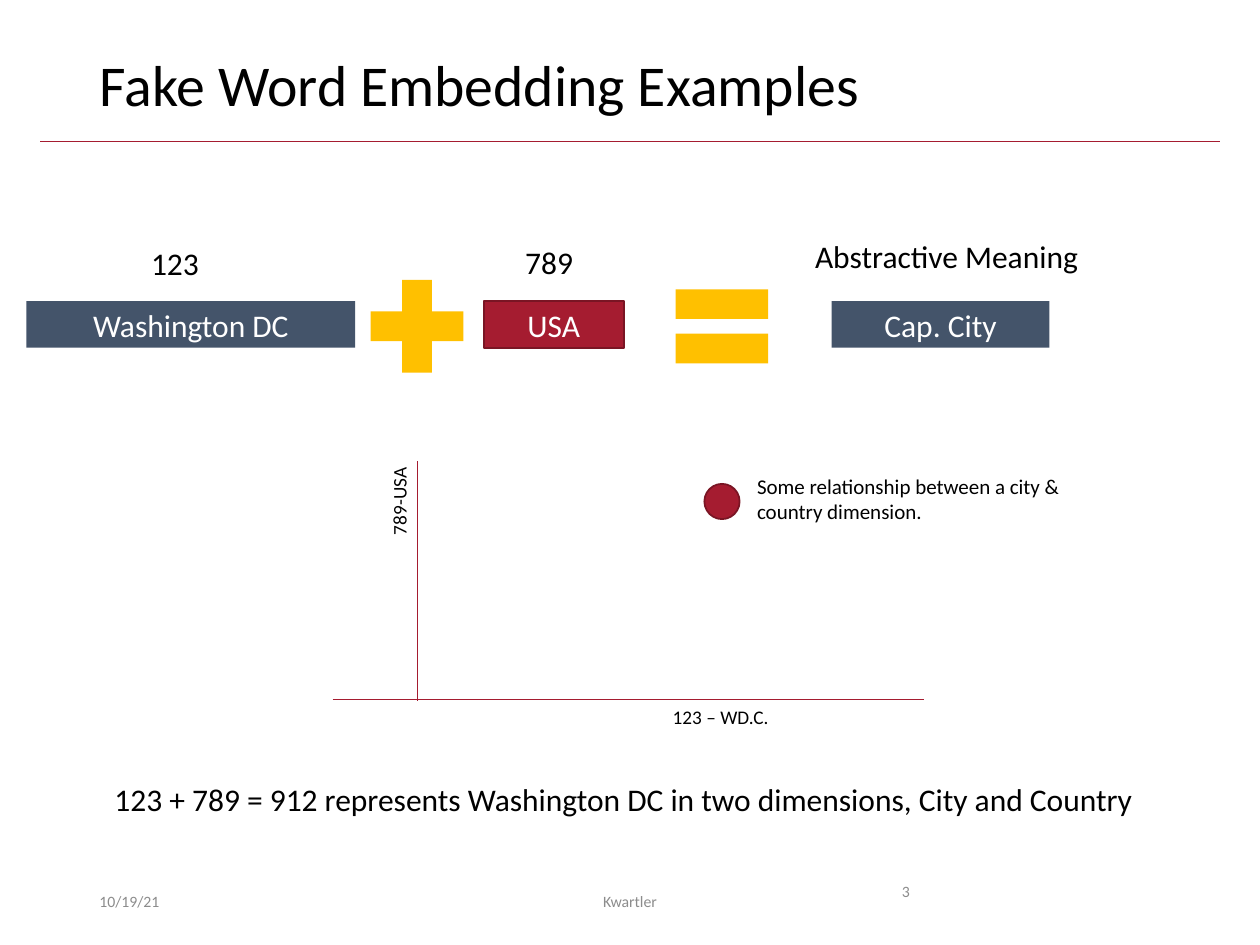
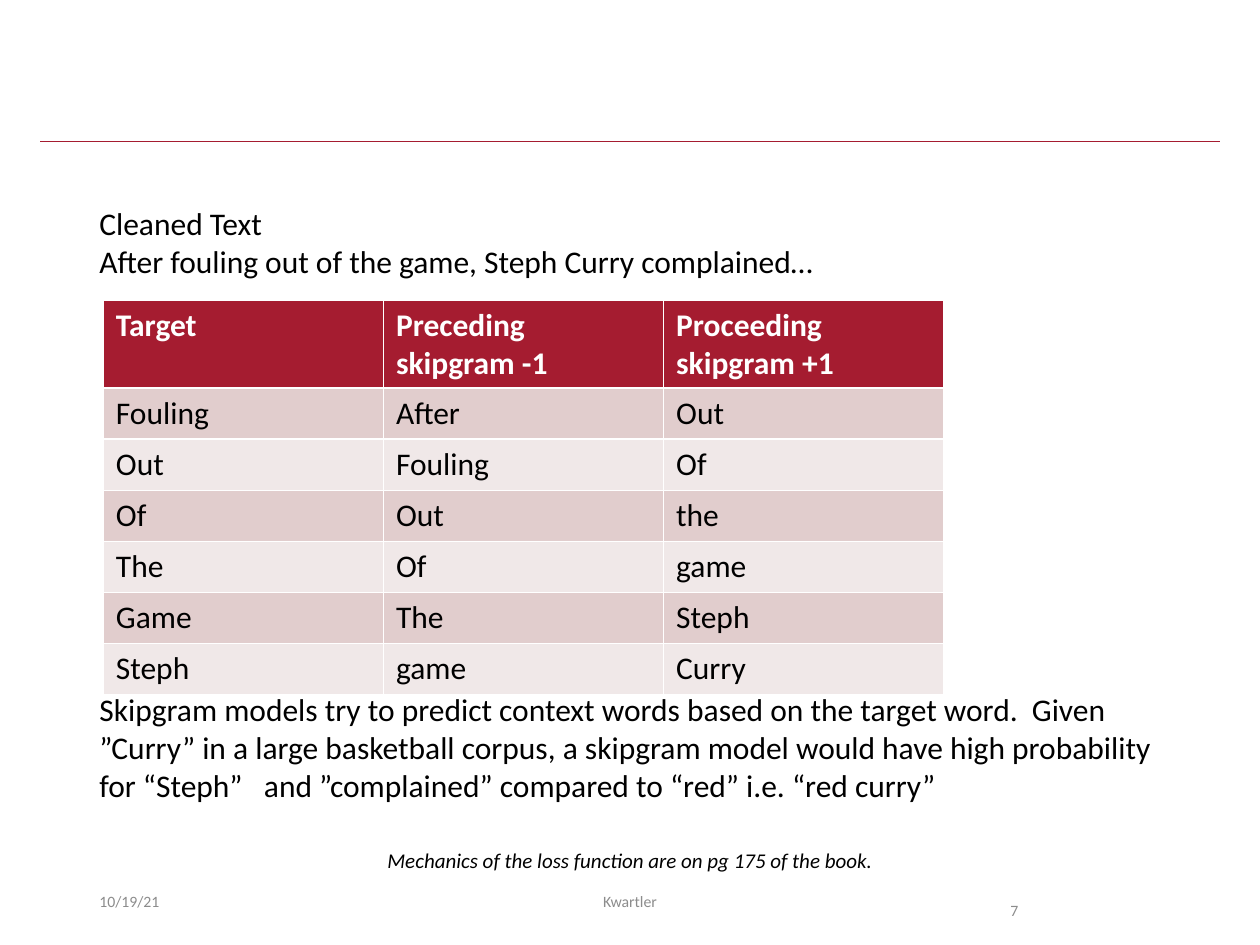
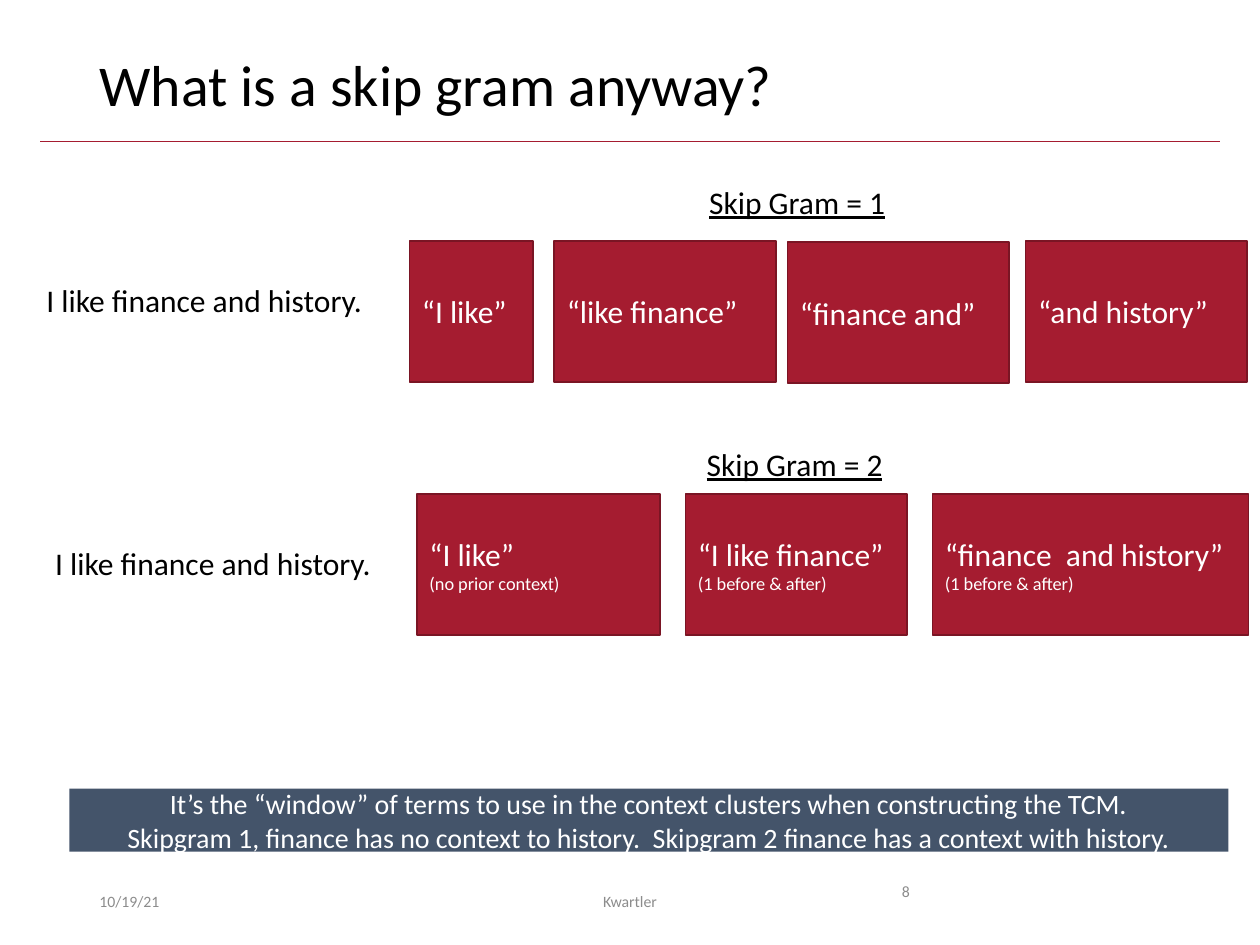
"""Builds three slides on word embeddings and skip grams."""
import lxml.etree
import pptx
import pptx.dml.color
import pptx.enum.shapes
import pptx.enum.text
import pptx.oxml.ns
import pptx.util

SHAPE = pptx.enum.shapes.MSO_SHAPE
ALIGN = pptx.enum.text.PP_ALIGN
ANCHOR = pptx.enum.text.MSO_ANCHOR
AUTO = pptx.enum.text.MSO_AUTO_SIZE

W, H = 10, 7.5
MARGIN = 0.69
BODY_W = W - 2 * MARGIN
LABEL_H = 0.4
FONT = "Calibri"
COLORS = {
    "crimson": "A51C30", "edge": "7A1524", "slate": "44546A", "gold": "FFC000",
    "text": "000000", "white": "FFFFFF", "footer": "8C8C8C",
    "band_dark": "E1CDCD", "band_light": "F0E8E8",
}
DATE, AUTHOR = "10/19/21", "Kwartler"

EMBEDDING_TITLE = "Fake Word Embedding Examples"
TERM_TOP, TERM_H = 2.39, 0.37
TERMS = [
    ("Washington DC", 0.21, 2.61, "slate", None),
    ("USA", 3.84, 1.11, "crimson", "edge"),
    ("Cap. City", 6.6, 1.73, "slate", None),
]
OPERATORS = [(SHAPE.MATH_PLUS, 2.81), (SHAPE.MATH_EQUAL, 5.23)]
EMBEDDING_LABELS = [
    ("123", (1.1, 1.89, 0.59, LABEL_H), 18, 0),
    ("789", (4.07, 1.88, 0.59, LABEL_H), 18, 0),
    ("Abstractive Meaning", (6.37, 1.83, 2.31, LABEL_H), 18, 0),
    ("123 + 789 = 912 represents Washington DC in two dimensions, City and Country",
     (0.81, 6.14, 8.38, LABEL_H), 18, 0),
    ("123 – WD.C.", (5.24, 5.55, 0.98, 0.29), 11, 0),
    ("789-USA", (2.8, 3.83, 0.74, 0.29), 11, 270),
]
AXES = [(3.31, 3.66, 3.31, 5.56), (2.64, 5.55, 7.33, 5.55)]
POINT = (5.59, 3.84, 0.28, 0.28)
POINT_NOTE = "Some relationship between a city & country dimension."

CLEANED = ["Cleaned Text", "After fouling out of the game, Steph Curry complained…"]
SKIPGRAMS = [
    ("Target", "Preceding skipgram -1", "Proceeding skipgram +1"),
    ("Fouling", "After", "Out"),
    ("Out", "Fouling", "Of"),
    ("Of", "Out", "the"),
    ("The", "Of", "game"),
    ("Game", "The", "Steph"),
    ("Steph", "game", "Curry"),
]
EXPLANATION = (
    "Skipgram models try to predict context words based on the target word.  "
    "Given ”Curry” in a large basketball corpus, a skipgram model would have high "
    "probability for “Steph”   and ”complained” compared to “red” i.e. “red curry”"
)
LOSS_NOTE = "Mechanics of the loss function are on pg 175 of the book."

SKIP_TITLE = "What is a skip gram anyway?"
SENTENCE = "I like finance and history."
CARD_H = 1.12
SKIP_ROWS = [
    {"heading": "Skip Gram = 1", "heading_at": (5.53, 1.4), "sentence_at": (0.27, 2.18),
     "cards": [
         (["“I like”"], 3.25, 1.91, 0.98),
         (["“like finance”"], 4.4, 1.91, 1.76),
         (["“finance and”"], 6.25, 1.92, 1.76),
         (["“and history”"], 8.14, 1.91, 1.76)]},
    {"heading": "Skip Gram = 2", "heading_at": (5.51, 3.48), "sentence_at": (0.34, 4.27),
     "cards": [
         (["“I like”", "(no prior context)"], 3.31, 3.92, 1.93),
         (["“I like finance”", "(1 before & after)"], 5.44, 3.92, 1.76),
         (["“finance  and history”", "(1 before & after)"], 7.4, 3.92, 2.51)]},
]
SUMMARY = [
    "It’s the “window” of terms to use in the context clusters when constructing the TCM.",
    "Skipgram 1, finance has no context to history.  "
    "Skipgram 2 finance has a context with history.",
]


def rgb(name):
    return pptx.dml.color.RGBColor.from_string(COLORS[name])


def inches(values):
    return [pptx.util.Inches(v) for v in values]


def write(tf, lines, sizes=(18,), color="text", align=ALIGN.LEFT, spacing=None, **style):
    for i, line in enumerate(lines):
        p = tf.paragraphs[0] if i == 0 else tf.add_paragraph()
        p.text = line
        p.alignment = align
        if spacing:
            p.line_spacing = spacing
        for r in p.runs:
            r.font.name = FONT
            r.font.size = pptx.util.Pt(sizes[min(i, len(sizes) - 1)])
            r.font.color.rgb = rgb(color)
            for key, value in style.items():
                setattr(r.font, key, value)


def add_text(s, lines, at, wrap=True, grow=True, anchor=ANCHOR.TOP, **style):
    sp = s.shapes.add_textbox(*inches(at))
    tf = sp.text_frame
    tf.word_wrap = wrap
    tf.auto_size = AUTO.SHAPE_TO_FIT_TEXT if grow else AUTO.NONE
    tf.vertical_anchor = anchor
    write(tf, lines, **style)
    return sp


def add_block(s, kind, at, fill, edge=None, lines=(), **style):
    sp = s.shapes.add_shape(kind, *inches(at))
    sp.shadow.inherit = False
    sp.fill.solid()
    sp.fill.fore_color.rgb = rgb(fill)
    if edge:
        sp.line.color.rgb = rgb(edge)
        sp.line.width = pptx.util.Pt(1)
    else:
        sp.line.fill.background()
    sp.text_frame.word_wrap = True
    sp.text_frame.vertical_anchor = ANCHOR.MIDDLE
    write(sp.text_frame, lines, color="white", **style)


def add_line(s, ends):
    sp = s.shapes.add_connector(pptx.enum.shapes.MSO_CONNECTOR.STRAIGHT, *inches(ends))
    sp.line.color.rgb = rgb("crimson")
    sp.line.width = pptx.util.Pt(0.5)
    lxml.etree.SubElement(sp._element.spPr, pptx.oxml.ns.qn("a:effectLst"))


def add_slide(prs, number, title=None, number_left=7.06, number_spacing=1):
    s = prs.slides.add_slide(prs.slide_layouts[5 if title else 6])
    if title:
        sp = s.shapes.title
        sp.left, sp.top, sp.width, sp.height = inches((MARGIN, 0.4, BODY_W, 0.65))
        sp.text_frame.vertical_anchor = ANCHOR.TOP
        sp.text_frame.auto_size = AUTO.NONE
        write(sp.text_frame, [title], sizes=(33,), spacing=0.9)
    add_line(s, (0.32, 1.12, W - 0.32, 1.12))
    footers = [
        (DATE, MARGIN, 2.25, ANCHOR.MIDDLE, ALIGN.LEFT, None),
        (AUTHOR, 3.31, 3.38, ANCHOR.MIDDLE, ALIGN.CENTER, None),
        (number, number_left, 0.94, ANCHOR.TOP, ALIGN.LEFT, number_spacing),
    ]
    for text, left, width, anchor, align, spacing in footers:
        add_text(s, [text], (left, 6.95, width, 0.4), grow=False, anchor=anchor,
                 sizes=(9,), color="footer", align=align, spacing=spacing)
    return s


def embedding_slide(prs):
    s = add_slide(prs, "3", EMBEDDING_TITLE)
    for text, left, width, fill, edge in TERMS:
        add_block(s, SHAPE.RECTANGLE, (left, TERM_TOP, width, TERM_H), fill, edge,
                  [text], align=ALIGN.CENTER)
    for kind, left in OPERATORS:
        add_block(s, kind, (left, 2.09, 1, 1), "gold")
    for ends in AXES:
        add_line(s, ends)
    add_block(s, SHAPE.OVAL, POINT, "crimson", "edge")
    for text, at, size, rotation in EMBEDDING_LABELS:
        add_text(s, [text], at, wrap=False, sizes=(size,)).rotation = rotation
    add_text(s, [POINT_NOTE], (5.91, 3.71, 2.85, 0.5), sizes=(12,))


def skipgram_table_slide(prs):
    s = add_slide(prs, "7", number_left=7.92, number_spacing=2)
    add_text(s, CLEANED, (MARGIN, 1.57, BODY_W, 0.71))
    at = inches((0.82, 2.38, 6.67, 2.84))
    table = s.shapes.add_table(len(SKIPGRAMS), len(SKIPGRAMS[0]), *at).table
    for i, row in enumerate(SKIPGRAMS):
        header = i == 0
        fill = "crimson" if header else ("band_light", "band_dark")[i % 2]
        for j, text in enumerate(row):
            cell = table.cell(i, j)
            cell.fill.solid()
            cell.fill.fore_color.rgb = rgb(fill)
            write(cell.text_frame, [text], color="white" if header else "text", bold=header)
    add_text(s, [EXPLANATION], (MARGIN, 5.43, BODY_W, 1.01))
    add_text(s, [LOSS_NOTE], (MARGIN, 6.68, BODY_W, 0.3), sizes=(12,),
             align=ALIGN.CENTER, italic=True)


def skip_gram_slide(prs):
    s = add_slide(prs, "8", SKIP_TITLE)
    for row in SKIP_ROWS:
        add_text(s, [row["heading"]], (*row["heading_at"], 1.61, LABEL_H), wrap=False,
                 underline=True)
        add_text(s, [SENTENCE], (*row["sentence_at"], 2.74, LABEL_H), wrap=False)
        for lines, left, top, width in row["cards"]:
            add_block(s, SHAPE.RECTANGLE, (left, top, width, CARD_H), "crimson", "edge",
                      lines, sizes=(18, 10.5))
    add_block(s, SHAPE.RECTANGLE, (0.55, 6.26, 9.2, 0.5), "slate", None, SUMMARY,
              sizes=(16,), align=ALIGN.CENTER)


def main():
    prs = pptx.Presentation()
    prs.slide_width, prs.slide_height = inches((W, H))
    embedding_slide(prs)
    skipgram_table_slide(prs)
    skip_gram_slide(prs)
    prs.save("out.pptx")


if __name__ == "__main__":
    main()
